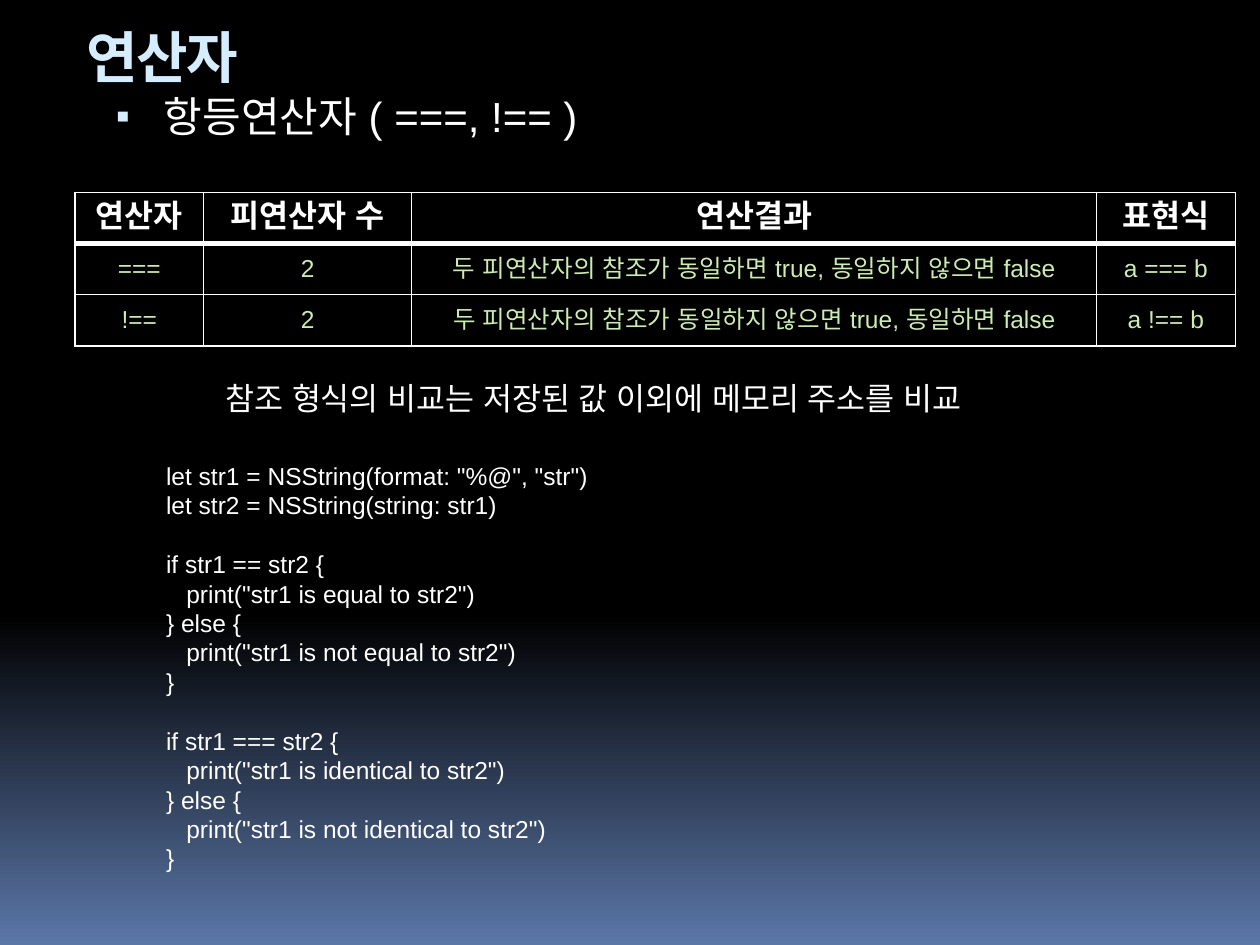
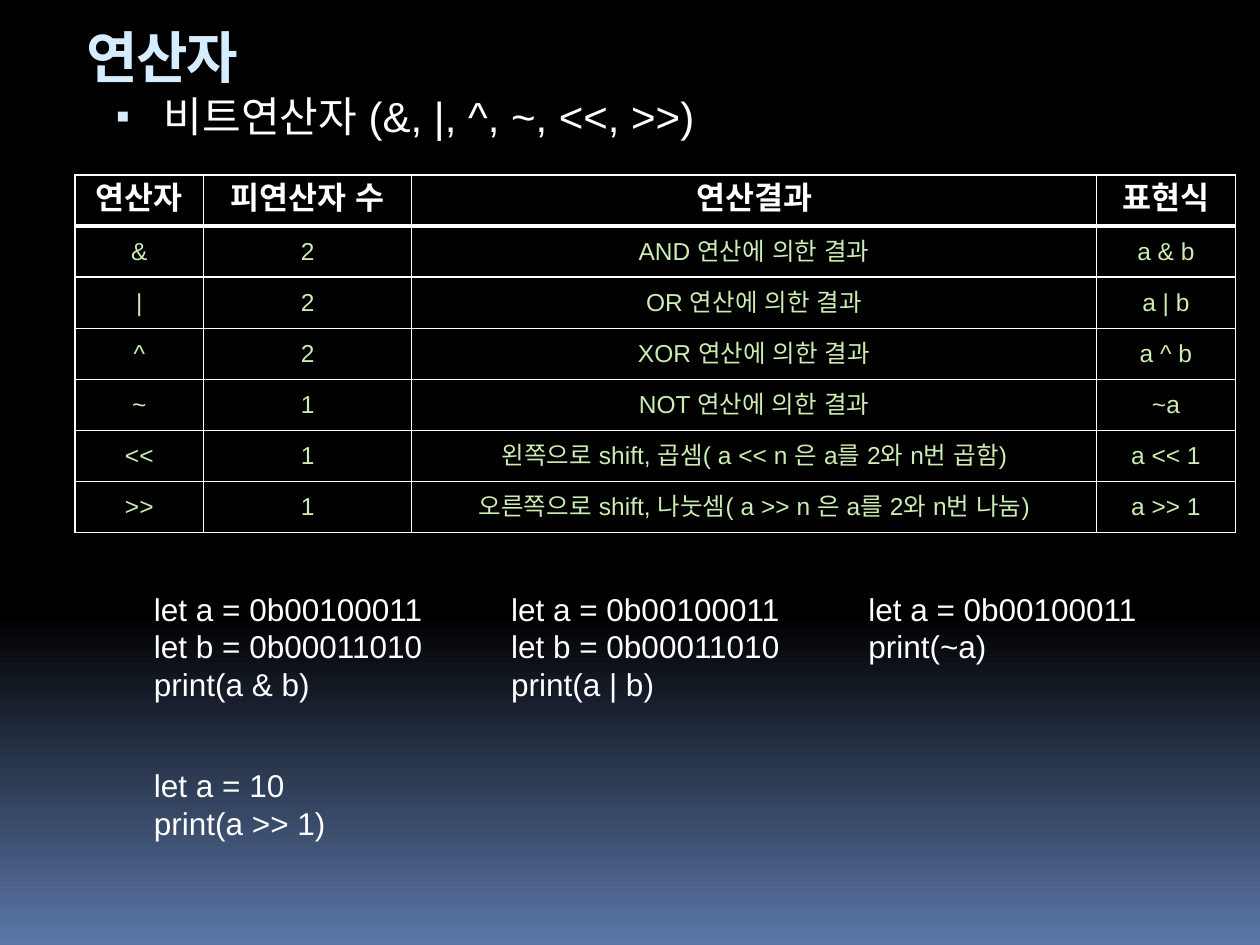
from copy import deepcopy
from dataclasses import dataclass
from lxml.etree import SubElement
from pptx import Presentation
from pptx.dml.color import RGBColor as Color
from pptx.enum.shapes import MSO_SHAPE as Preset
from pptx.enum.text import MSO_ANCHOR as Anchor, MSO_AUTO_SIZE as AutoSize, PP_ALIGN as Align
from pptx.oxml import parse_xml
from pptx.oxml.ns import nsdecls, qn
from pptx.util import Pt


@dataclass(frozen=True)
class Theme:
    black: str = "000000"
    glow: str = "5B77A8"
    ice: str = "D6ECFF"
    white: str = "FFFFFF"
    lime: str = "CCEDB1"
    font: str = "Arial"
    header_font: str = "Calibri"
    title: int = 32
    topic: int = 24
    text: int = 18
    small: int = 14


THEME = Theme()
TITLE = "연산자"
TITLE_BOX = (42.5, 8.8, 683.3, 46.8)
TOPIC_BOX = (54, 48.4, 612, 42.5)
BAR_TOP, BAR_HEIGHT = 53.3, 28.8
BARS = ((24.5, 3.6), (20.9, 2.2), (19.4, 0.7), (17.3, 0.7))
HEADERS = ("연산자", "피연산자 수", "연산결과", "표현식")
COLUMN_WIDTHS = (73.6, 118.9, 391.4, 79.2)
TABLE_LEFT = 42.8
ROW_HEIGHT = 29.2
CODE_INDENT = 11.6
CODE_LEADING = 1.2

IDENTITY_ROWS = (
    ("===", "2", "두 피연산자의 참조가 동일하면 true, 동일하지 않으면 false", "a === b"),
    ("!==", "2", "두 피연산자의 참조가 동일하지 않으면 true, 동일하면 false", "a !== b"),
)
IDENTITY_NOTE = "참조 형식의 비교는 저장된 값 이외에 메모리 주소를 비교"
IDENTITY_CODE = (
    ('let str1 = NSString(format: "%@", "str")', "let str2 = NSString(string: str1)"),
    ("if str1 == str2 {", '\tprint("str1 is equal to str2")', "} else {",
     '\tprint("str1 is not equal to str2")', "}"),
    ("if str1 === str2 {", '\tprint("str1 is identical to str2")', "} else {",
     '\tprint("str1 is not identical to str2")', "}"),
)
BIT_ROWS = (
    ("&", "2", "AND 연산에 의한 결과", "a & b"),
    ("|", "2", "OR 연산에 의한 결과", "a | b"),
    ("^", "2", "XOR 연산에 의한 결과", "a ^ b"),
    ("~", "1", "NOT 연산에 의한 결과", "~a"),
    ("<<", "1", "왼쪽으로 shift, 곱셈( a << n 은 a를 2와 n번 곱함)", "a << 1"),
    (">>", "1", "오른쪽으로 shift, 나눗셈( a >> n 은 a를 2와 n번 나눔)", "a >> 1"),
)
LET_A = "let a = 0b00100011"
LET_B = "let b = 0b00011010"
BIT_SAMPLES = (
    (LET_A, LET_B, "print(a & b)"),
    (LET_A, LET_B, "print(a | b)"),
    (LET_A, "print(~a)"),
    ("let a = 10", "print(a >> 1)"),
)


def write(para, text, size=THEME.text, color=THEME.white, font=THEME.font,
          bold=False, align=Align.LEFT, before=0, leading=None, spacing=None):
    para.alignment = align
    para.space_before = Pt(before)
    if leading:
        para.line_spacing = Pt(round(size * leading, 1))
    span = para.add_run()
    span.text = text
    span.font.size = Pt(size)
    span.font.name = font
    span.font.bold = bold
    span.font.color.rgb = Color.from_string(color)
    props = span.font._element
    SubElement(props, qn("a:ea")).set("typeface", THEME.font)
    if spacing is not None:
        props.set("spc", str(spacing * 100))


def place(shape, box):
    shape.left, shape.top, shape.width, shape.height = map(Pt, box)


def paint_background(master):
    fill = master.background.fill
    fill.gradient()
    fill.gradient_angle = 270
    first, last = fill.gradient_stops
    first.color.rgb = Color.from_string(THEME.black)
    last.color.rgb = Color.from_string(THEME.glow)
    first.position, last.position = 0, 1
    stops = master.element.find(".//" + qn("a:gsLst"))
    middle = deepcopy(stops[0])
    middle.set("pos", "65000")
    stops.insert(1, middle)


def add_side_bars(page):
    for left, width in BARS:
        bar = page.shapes.add_shape(Preset.RECTANGLE, *map(Pt, (left, BAR_TOP, width, BAR_HEIGHT)))
        bar.shadow.inherit = False
        bar.fill.solid()
        bar.fill.fore_color.rgb = Color.from_string(THEME.black)
        bar.line.fill.background()


def add_heading(page, topic):
    title, body = page.shapes.title, page.placeholders[1]
    for holder, box, anchor in ((title, TITLE_BOX, Anchor.MIDDLE), (body, TOPIC_BOX, Anchor.TOP)):
        place(holder, box)
        holder.text_frame.auto_size = AutoSize.NONE
        holder.text_frame.vertical_anchor = anchor
    write(title.text_frame.paragraphs[0], TITLE, size=THEME.title, color=THEME.ice,
          bold=True, spacing=-1)
    para = body.text_frame.paragraphs[0]
    write(para, topic, size=THEME.topic, before=7)
    props = para._p.get_or_add_pPr()
    props.set("marL", str(Pt(32.4)))
    props.set("indent", str(Pt(-27.4)))
    color = SubElement(props, qn("a:buClr"))
    SubElement(color, qn("a:srgbClr")).set("val", THEME.ice)
    SubElement(props, qn("a:buSzPct")).set("val", "95000")
    SubElement(props, qn("a:buChar")).set("char", "▪")


def draw_borders(cell, top, bottom):
    props = cell._tc.get_or_add_tcPr()
    for index, (side, width) in enumerate((("L", 1), ("R", 1), ("T", top), ("B", bottom))):
        props.insert(index, parse_xml(
            f'<a:ln{side} {nsdecls("a")} w="{Pt(width)}"><a:solidFill>'
            f'<a:srgbClr val="{THEME.white}"/></a:solidFill></a:ln{side}>'))


def add_operator_table(page, top, rows):
    lines = (HEADERS, *rows)
    frame = page.shapes.add_table(len(lines), len(HEADERS), Pt(TABLE_LEFT), Pt(top),
                                  Pt(sum(COLUMN_WIDTHS)), Pt(ROW_HEIGHT * len(lines)))
    table = frame.table
    table.first_row = table.horz_banding = False
    for column, width in zip(table.columns, COLUMN_WIDTHS):
        column.width = Pt(width)
    for number, line in enumerate(lines):
        table.rows[number].height = Pt(ROW_HEIGHT)
        for cell, text in zip(table.rows[number].cells, line):
            para = cell.text_frame.paragraphs[0]
            if number == 0:
                write(para, text, font=THEME.header_font, bold=True, align=Align.CENTER)
            else:
                cell.vertical_anchor = Anchor.MIDDLE
                write(para, text, size=THEME.small, color=THEME.lime, align=Align.CENTER)
            cell.fill.background()
            draw_borders(cell, 3 if number == 1 else 1, 3 if number == 0 else 1)


def add_text(page, box, blocks, size=THEME.text, anchor=Anchor.TOP, leading=None):
    frame = page.shapes.add_textbox(*map(Pt, box)).text_frame
    frame.word_wrap = True
    frame.vertical_anchor = anchor
    para = frame.paragraphs[0]
    for block_number, block in enumerate(blocks):
        for line_number, line in enumerate(block):
            if block_number or line_number:
                para = frame.add_paragraph()
            gap = size * CODE_LEADING if block_number and not line_number else 0
            write(para, line.lstrip("\t"), size=size, before=gap, leading=leading)
            if line.startswith("\t"):
                para._p.get_or_add_pPr().set("marL", str(Pt(CODE_INDENT)))


def add_sample_grid(page, box, samples, columns=3):
    left, top, column_step, row_step = box
    for index, sample in enumerate(samples):
        row, column = divmod(index, columns)
        add_text(page, (left + column * column_step, top + row * row_step, 178.6, 72.7),
                 (sample,), leading=CODE_LEADING)


def add_page(deck, topic, table_top, rows):
    page = deck.slides.add_slide(deck.slide_layouts[1])
    add_side_bars(page)
    add_heading(page, topic)
    add_operator_table(page, table_top, rows)
    return page


def main():
    deck = Presentation()
    deck.slide_width, deck.slide_height = Pt(720), Pt(540)
    paint_background(deck.slide_master)

    identity = add_page(deck, "항등연산자 ( ===, !== )", 110, IDENTITY_ROWS)
    add_text(identity, (121.7, 213, 483.8, 29), ((IDENTITY_NOTE,),))
    add_text(identity, (87.8, 258.7, 265, 244.8), IDENTITY_CODE, size=THEME.small,
             anchor=Anchor.MIDDLE, leading=CODE_LEADING)

    bits = add_page(deck, "비트연산자 (&, |, ^, ~, <<, >>)", 100, BIT_ROWS)
    add_sample_grid(bits, (80.9, 333.4, 204.1, 100.8), BIT_SAMPLES)

    deck.save("out.pptx")


if __name__ == "__main__":
    main()
